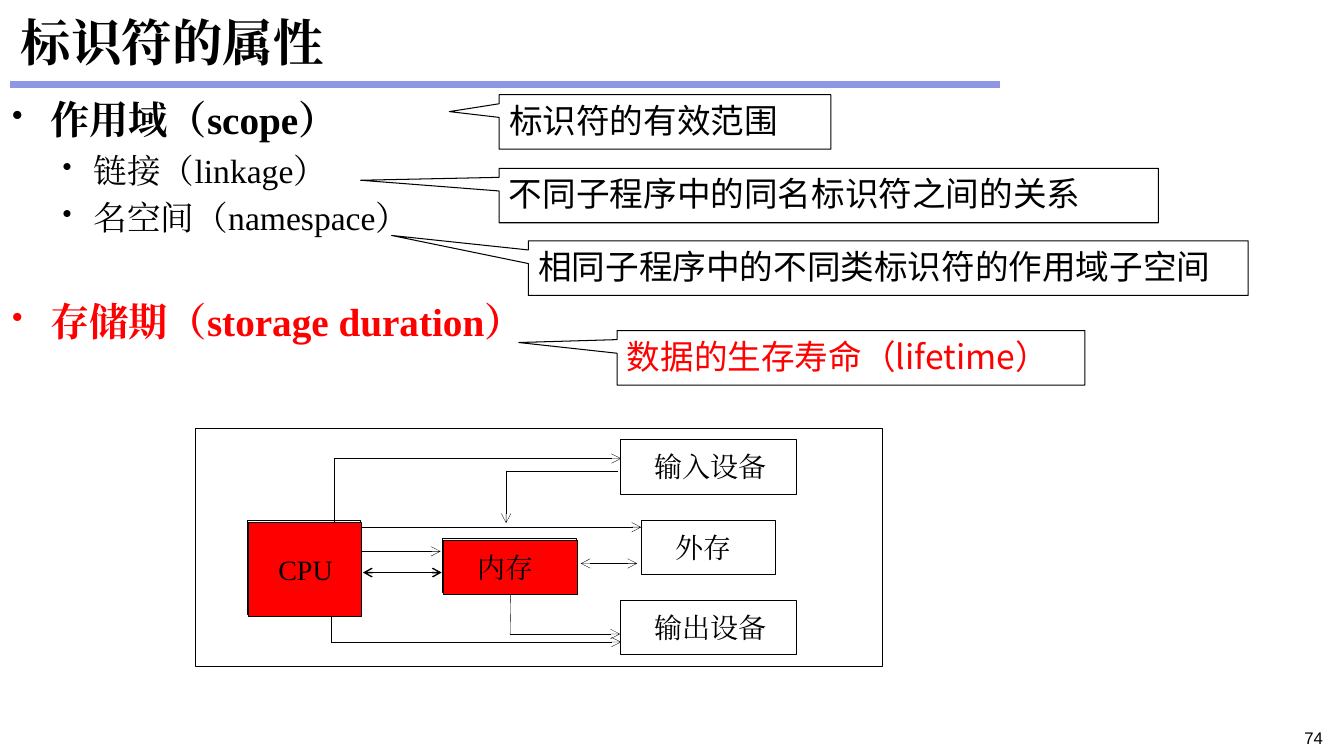
import pptx
import pptx.util
import pptx.dml.color
import pptx.enum.dml
import pptx.enum.shapes
import pptx.enum.text
import pptx.oxml
import pptx.oxml.ns
from lxml import etree

Inches = pptx.util.Inches
Pt = pptx.util.Pt
qn = pptx.oxml.ns.qn
SHAPE = pptx.enum.shapes.MSO_SHAPE
CONNECTOR = pptx.enum.shapes.MSO_CONNECTOR
ANCHOR = pptx.enum.text.MSO_ANCHOR
ALIGN = pptx.enum.text.PP_ALIGN
COLORS = {"black": "000000", "red": "FF0000", "rule": "8D97E5"}
SERIF = "Times New Roman"
SANS = "Noto Sans CJK SC"


def rgb(name):
    return pptx.dml.color.RGBColor.from_string(COLORS[name])


def write(paragraph, text, size=24, font=SERIF, color="black", bold=False, align=ALIGN.LEFT):
    paragraph.alignment = align
    run = paragraph.add_run()
    run.text = text
    run.font.size = Pt(size)
    run.font.bold = bold
    run.font.color.rgb = rgb(color)
    run.font.name = font
    properties = run._r.get_or_add_rPr()
    properties.set("lang", "zh-CN")
    etree.SubElement(properties, qn("a:ea"), typeface=font)


def set_frame(shape, anchor=ANCHOR.TOP, inset_left=0.1, inset_right=0.1, inset_edge=0.05):
    frame = shape.text_frame
    frame.word_wrap = True
    frame.vertical_anchor = anchor
    frame.margin_left, frame.margin_right = Inches(inset_left), Inches(inset_right)
    frame.margin_top = frame.margin_bottom = Inches(inset_edge)
    return frame


def add_text_box(slide, left, top, width, height, **frame_format):
    box = slide.shapes.add_textbox(Inches(left), Inches(top), Inches(width), Inches(height))
    return set_frame(box, **frame_format)


def add_bullet(frame, text, level=0, before=0, **text_format):
    paragraph = frame.paragraphs[0]
    if paragraph.runs:
        paragraph = frame.add_paragraph()
    paragraph.level = level
    paragraph.space_before = Pt(before)
    margin, hanging = ((0.38, 0.38), (0.81, 0.31))[level]
    properties = paragraph._p.get_or_add_pPr()
    properties.set("marL", str(Inches(margin)))
    properties.set("indent", str(-Inches(hanging)))
    etree.SubElement(properties, qn("a:buSzPct"), val="80000")
    etree.SubElement(properties, qn("a:buChar"), char="•")
    write(paragraph, text, **text_format)


def add_shape(slide, kind, left, top, width, height, line_width=0.25, fill=None):
    shape = slide.shapes.add_shape(kind, Inches(left), Inches(top), Inches(width), Inches(height))
    shape.shadow.inherit = False
    if fill:
        shape.fill.solid()
        shape.fill.fore_color.rgb = rgb(fill)
    else:
        shape.fill.background()
    shape.line.color.rgb = rgb("black")
    shape.line.width = Pt(line_width)
    return shape


def add_callout(slide, text, left, top, width, tip, color="black"):
    shape = add_shape(slide, SHAPE.RECTANGULAR_CALLOUT, left, top, width, 0.54, 0.75)
    shape.adjustments[0], shape.adjustments[1] = tip
    write(set_frame(shape).paragraphs[0], text, font=SANS, color=color)


def add_device(slide, text, left, top, width, height=0.54, fill=None, inset=0.34):
    shape = add_shape(slide, SHAPE.RECTANGLE, left, top, width, height, fill=fill)
    frame = set_frame(shape, ANCHOR.MIDDLE, inset, 0.02, 0.01)
    write(frame.paragraphs[0], text, size=20)
    return shape


def add_line(slide, start, end, width=0.25, color="black", dotted=False, bent=False, arrows=()):
    kind = CONNECTOR.ELBOW if bent else CONNECTOR.STRAIGHT
    connector = slide.shapes.add_connector(kind, *(Inches(value) for value in start + end))
    connector.line.color.rgb = rgb(color)
    connector.line.width = Pt(width)
    if dotted:
        connector.line.dash_style = pptx.enum.dml.MSO_LINE.ROUND_DOT
    properties = connector._element.spPr
    outline = properties.find(qn("a:ln"))
    for arrow in arrows:
        etree.SubElement(outline, qn("a:" + arrow), type="arrow")
    etree.SubElement(properties, qn("a:effectLst"))
    if bent:
        geometry = properties.find(qn("a:prstGeom"))
        guides = geometry.find(qn("a:avLst"))
        if guides is None:
            guides = etree.SubElement(geometry, qn("a:avLst"))
        etree.SubElement(guides, qn("a:gd"), name="adj1", fmla="val 0")
    return connector


def add_outline(slide):
    add_line(slide, (0.1, 0.84), (9.92, 0.84), width=4.5, color="rule")
    title = add_text_box(slide, 0.11, 0.08, 13.11, 0.67, anchor=ANCHOR.MIDDLE)
    write(title.paragraphs[0], "标识符的属性", size=36, bold=True)
    body = add_text_box(slide, 0.1, 0.94, 13.12, 6.51, inset_left=0.02, inset_right=0.02, inset_edge=0.01)
    add_bullet(body, "作用域（scope）", size=28, bold=True)
    for text in ("链接（linkage）", "名空间（namespace）"):
        add_bullet(body, text, level=1, before=4.8)
    add_bullet(body, "存储期（storage duration）", before=43, size=28, color="red", bold=True)
    number = add_text_box(slide, 11.91, 7.17, 1.31, 0.25)
    write(number.paragraphs[0], "74", size=12, font="Arial", align=ALIGN.RIGHT)


def add_computer_diagram(slide):
    add_shape(slide, SHAPE.RECTANGLE, 1.94, 4.25, 6.81, 2.36)
    add_device(slide, "输入设备", 6.15, 4.36, 1.75)
    add_device(slide, "外存", 6.36, 5.16, 1.33)
    add_device(slide, "输出设备", 6.15, 5.95, 1.75)
    for left, top, width, height in ((4.39, 5.34, 1.33, 0.54), (2.45, 5.16, 1.12, 0.93)):
        add_shape(slide, SHAPE.RECTANGLE, left, top, width, height)

    both = ("headEnd", "tailEnd")
    add_line(slide, (3.6, 5.68), (4.38, 5.68), width=1, arrows=both)
    add_line(slide, (5.76, 5.59), (6.32, 5.59), arrows=both)
    add_line(slide, (6.13, 4.67), (5.02, 4.67))
    add_line(slide, (5.02, 4.67), (5.02, 5.19), arrows=("tailEnd",))
    for start, end in (
        ((3.28, 6.1), (6.16, 6.37)),
        ((3.59, 5.47), (4.37, 5.47)),
        ((3.31, 5.19), (6.16, 4.55)),
        ((3.58, 5.23), (6.36, 5.23)),
    ):
        add_line(slide, start, end, dotted=True, bent=start[1] != end[1], arrows=("tailEnd",))

    memory = add_device(slide, "内存", 4.4, 5.36, 1.33, fill="red")
    add_device(slide, "CPU", 2.46, 5.18, 1.12, 0.93, fill="red", inset=0.3)
    memory_output = add_line(slide, (5.06, 5.9), (5.06, 6.29))
    memory_output.begin_connect(memory, 2)
    add_line(slide, (5.06, 6.29), (6.15, 6.29), arrows=("tailEnd",))


def main():
    presentation = pptx.Presentation()
    presentation.slide_width = Inches(13.33)
    presentation.slide_height = Inches(7.5)
    slide = presentation.slides.add_slide(presentation.slide_layouts[6])
    add_outline(slide)
    add_callout(slide, "标识符的有效范围", 4.95, 0.94, 3.29, (-0.65, -0.19))
    add_callout(slide, "不同子程序中的同名标识符之间的关系", 4.95, 1.67, 6.54, (-0.71, -0.28))
    add_callout(slide, "相同子程序中的不同类标识符的作用域子空间", 5.24, 2.39, 7.14, (-0.69, -0.6))
    add_callout(slide, "数据的生存寿命（lifetime）", 6.12, 3.28, 4.64, (-0.71, -0.28), color="red")
    add_computer_diagram(slide)
    presentation.save("out.pptx")


if __name__ == "__main__":
    main()
